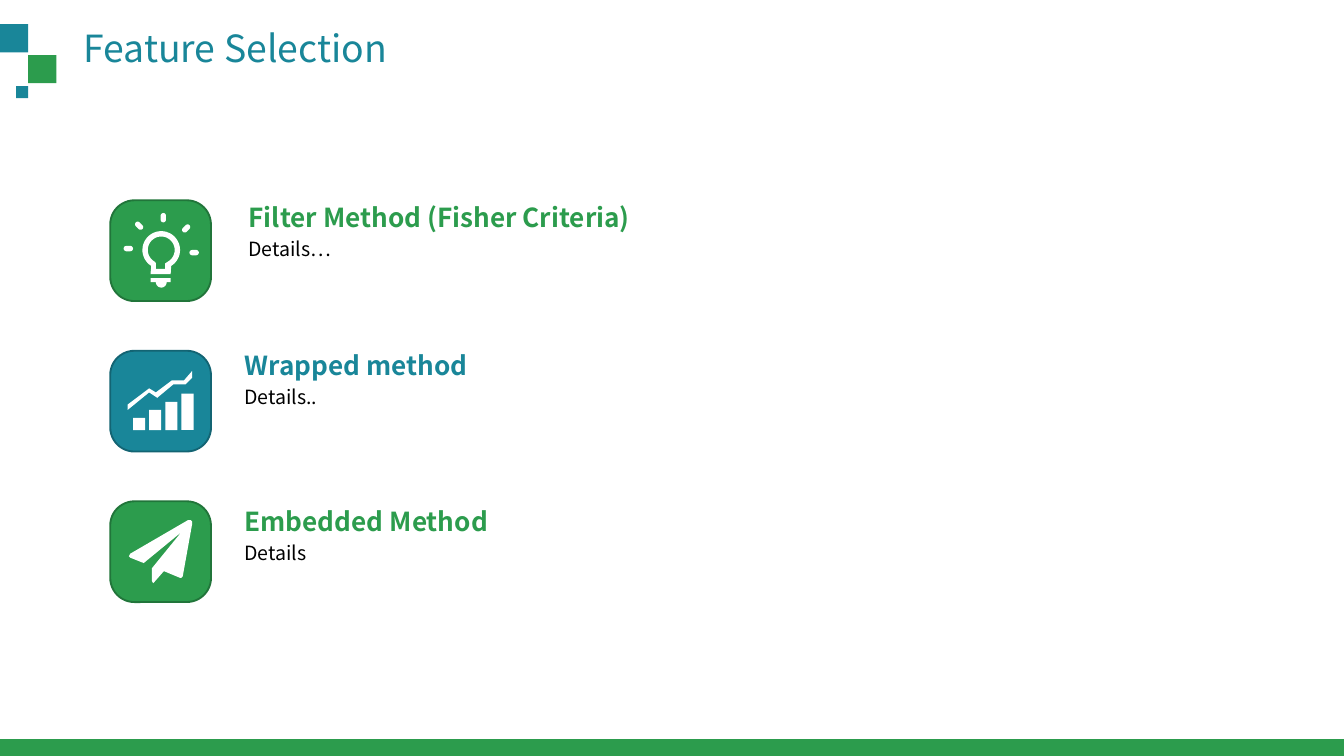
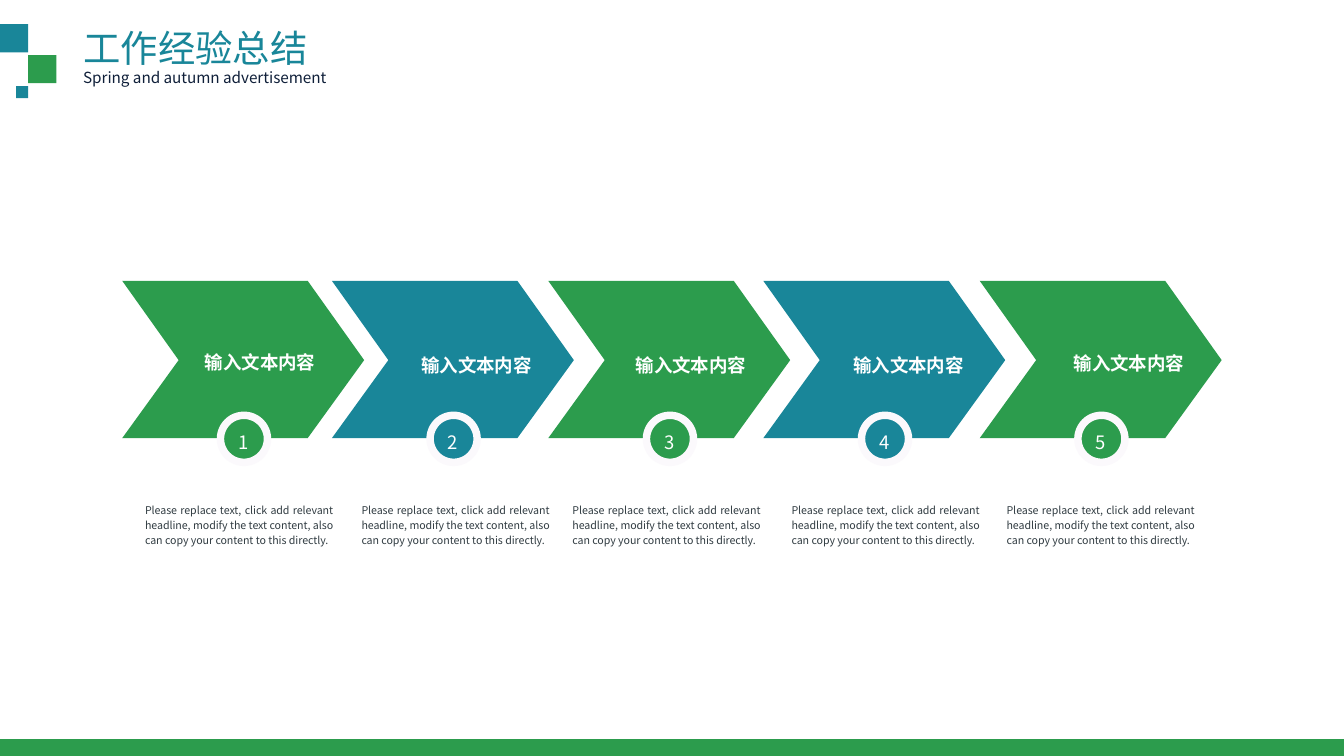
from dataclasses import dataclass
from math import cos, radians, sin

from pptx import Presentation
from pptx.dml.color import RGBColor
from pptx.enum.shapes import MSO_SHAPE as Preset
from pptx.enum.text import MSO_ANCHOR as Anchor, MSO_AUTO_SIZE as AutoSize, PP_ALIGN as Align
from pptx.oxml.ns import qn
from pptx.util import Inches, Pt


@dataclass(frozen=True)
class Theme:
    font: str = "Noto Sans CJK SC"
    green: str = "2C9C4D"
    teal: str = "198699"
    dark_green: str = "21753A"
    dark_teal: str = "136473"
    white: str = "FFFFFF"
    black: str = "000000"
    navy: str = "0F1F39"
    slate: str = "313C42"
    ring: str = "FBF9FC"
    title: float = 20
    subtitle: float = 8.2
    heading: float = 14
    detail: float = 10.5
    label: float = 9.9
    caption: float = 5.7


THEME = Theme()
EDGES = {THEME.green: THEME.dark_green, THEME.teal: THEME.dark_teal}
PAGE_WIDTH = Inches(10)
PAGE_HEIGHT = PAGE_WIDTH * 9 // 16
ICON_LEFT, ICON_SIZE = 0.82, 0.75

METHODS = [
    ("Filter Method (Fisher Criteria)", "Details…", THEME.green, 1.49, (1.85, 1.5, 4.33, 0.45)),
    ("Wrapped method", "Details..", THEME.teal, 2.61, (1.82, 2.6, 3.04, 0.45)),
    ("Embedded Method", "Details", THEME.green, 3.73, (1.82, 3.76, 2.3, 0.45)),
]

STEP_TEXT = "输入文本内容"
STEP_CAPTION = (
    "Please replace text, click add relevant headline, modify the text content, "
    "also can copy your content to this directly."
)
STEPS = [
    (0.91, (1.52, 2.58, 0.83, 0.2), 1.08),
    (2.47, (2.96, 2.61, 1.17, 0.18), 2.69),
    (4.08, (4.53, 2.61, 1.22, 0.18), 4.26),
    (5.68, (6.16, 2.61, 1.2, 0.18), 5.89),
    (7.29, (7.78, 2.61, 1.24, 0.15), 7.49),
]


def apply(target, values):
    for name, value in values.items():
        setattr(target, name, value)


def place(shape, bounds):
    apply(shape, dict(zip(("left", "top", "width", "height"), map(Inches, bounds))))


def paint(shape, fill, line=None, width=1):
    shape.shadow.inherit = False
    shape.fill.solid()
    shape.fill.fore_color.rgb = RGBColor.from_string(fill)
    if line:
        shape.line.color.rgb = RGBColor.from_string(line)
        shape.line.width = Pt(width)
    else:
        shape.line.fill.background()
    return shape


def add_preset(canvas, preset, bounds, fill, line=None, width=1):
    shape = canvas.add_shape(preset, *map(Inches, bounds))
    return paint(shape, fill, line, width)


def add_outline(canvas, fill, *contours):
    paths = [[(Inches(x), Inches(y)) for x, y in contour] for contour in contours]
    builder = canvas.build_freeform(*paths[0][0])
    builder.add_line_segments(paths[0][1:])
    for path in paths[1:]:
        builder.move_to(*path[0])
        builder.add_line_segments(path[1:])
    return paint(builder.convert_to_shape(), fill)


def write(para, text, size, color, bold=False, **paragraph):
    apply(para, paragraph)
    span = para.add_run()
    span.text = text
    apply(span.font, {"name": THEME.font, "size": Pt(size), "bold": bold})
    span.font.color.rgb = RGBColor.from_string(color)
    east_asian = span.font._element.makeelement(qn("a:ea"), {"typeface": THEME.font})
    span.font._element.find(qn("a:latin")).addnext(east_asian)


def format_frame(box, wrap=True, anchor=Anchor.TOP, inset=True):
    frame = box.text_frame
    apply(frame, {"word_wrap": wrap, "vertical_anchor": anchor, "auto_size": AutoSize.NONE})
    sides, ends = (0.1, 0.05) if inset else (0, 0)
    apply(frame, {
        "margin_left": Inches(sides), "margin_right": Inches(sides),
        "margin_top": Inches(ends), "margin_bottom": Inches(ends),
    })
    return frame


def add_text(canvas, bounds, text, size, color, bold=False, frame=None, **paragraph):
    box = canvas.add_textbox(*map(Inches, bounds))
    para = format_frame(box, **(frame or {})).paragraphs[0]
    write(para, text, size, color, bold, **paragraph)
    return box


def add_label(canvas, bounds, text, bold=False):
    add_text(canvas, bounds, text, THEME.label, THEME.white, bold,
             frame={"wrap": False, "anchor": Anchor.MIDDLE, "inset": False},
             alignment=Align.CENTER, line_spacing=1.2)


def add_page(deck, title, width):
    page = deck.slides.add_slide(deck.slide_layouts[5])
    box = page.shapes.title
    place(box, (0.52, 0.14, width, 0.44))
    para = format_frame(box, wrap=False).paragraphs[0]
    write(para, title, THEME.title, THEME.teal, alignment=Align.LEFT)
    squares = page.shapes.add_group_shape().shapes
    for left, top, side, fill in (
        (0, 0.18, 0.21, THEME.teal),
        (0.21, 0.41, 0.21, THEME.green),
        (0.12, 0.64, 0.09, THEME.teal),
    ):
        add_preset(squares, Preset.RECTANGLE, (left, top, side, side), fill)
    add_preset(page.shapes, Preset.RECTANGLE, (0, 5.5, 10, 0.13), THEME.green)
    return page


def arc(center, radius, start, end, steps=40):
    x, y = center
    angles = [radians(start + (end - start) * step / steps) for step in range(steps + 1)]
    return [(x + radius * cos(angle), y + radius * sin(angle)) for angle in angles]


def draw_bulb(canvas):
    center = (1.2, 1.86)
    for x, y, turn in ((0.95, 1.85, 0), (1.03, 1.68, 45), (1.21, 1.62, 90),
                       (1.38, 1.7, 135), (1.44, 1.88, 0)):
        ray = add_preset(canvas, Preset.ROUNDED_RECTANGLE,
                         (x - 0.03, y - 0.02, 0.07, 0.04), THEME.white)
        ray.adjustments[0] = 0.5
        ray.rotation = turn
    glass = arc(center, 0.14, 122, 418) + [(1.27, 2.04), (1.12, 2.04)]
    hollow = arc(center, 0.1, 117, 423) + [(1.23, 1.96), (1.23, 2), (1.16, 2), (1.16, 1.96)]
    add_outline(canvas, THEME.white, glass, hollow)
    base = [(1.12, 2.07), (1.27, 2.07), (1.27, 2.1), (1.23, 2.1)]
    add_outline(canvas, THEME.white, base + arc((1.2, 2.1), 0.04, 0, 180, 16) + [(1.12, 2.1)])


def draw_growth(canvas):
    for index in range(4):
        height = 0.09 + 0.06 * index
        add_preset(canvas, Preset.RECTANGLE,
                   (0.99 + 0.12 * index, 3.2 - height, 0.09, height), THEME.white)
    add_outline(canvas, THEME.white, [
        (1.37, 2.83), (1.28, 2.83), (1.16, 2.92), (1.11, 2.89), (0.95, 3.01), (0.95, 3.05),
        (1.11, 2.92), (1.17, 2.96), (1.29, 2.86), (1.38, 2.86), (1.43, 2.81), (1.43, 2.76),
    ])


def draw_plane(canvas):
    add_outline(canvas, THEME.white, [
        (1.43, 3.9), (1.36, 4.29), (1.35, 4.3), (1.34, 4.3), (1.22, 4.25), (1.15, 4.33),
        (1.14, 4.34), (1.13, 4.32), (1.13, 4.23), (1.35, 3.96), (1.07, 4.19), (0.97, 4.15),
        (0.96, 4.14), (0.97, 4.12), (1.4, 3.87), (1.42, 3.87), (1.43, 3.88),
    ])


def add_method(page, heading, detail, color, icon_top, bounds, draw_icon):
    icon = page.shapes.add_group_shape().shapes
    tile = add_preset(icon, Preset.ROUNDED_RECTANGLE,
                      (ICON_LEFT, icon_top, ICON_SIZE, ICON_SIZE), color, EDGES[color])
    tile.adjustments[0] = 0.24
    draw_icon(icon)
    box = add_text(page.shapes, bounds, heading, THEME.heading, color, True,
                   frame={"inset": False})
    write(box.text_frame.add_paragraph(), detail, THEME.detail, THEME.black,
          space_before=Pt(2))


def add_step(page, number, left, label_bounds, caption_left):
    color = THEME.green if number % 2 else THEME.teal
    chevron = page.shapes.add_group_shape().shapes
    top, middle, bottom = 2.09, 2.68, 3.26
    add_outline(chevron, color, [
        (left, top), (left + 0.42, middle), (left, bottom),
        (left + 1.38, bottom), (left + 1.8, middle), (left + 1.38, top),
    ])
    add_label(chevron, label_bounds, STEP_TEXT, True)
    badge = page.shapes.add_group_shape().shapes
    add_preset(badge, Preset.OVAL, (left + 0.73, 3.09, 0.35, 0.35), color, THEME.ring, 4)
    add_label(badge, (left + 0.85, 3.17, 0.1, 0.2), str(number))
    add_text(page.shapes, (caption_left, 3.73, 1.4, 0.34), STEP_CAPTION,
             THEME.caption, THEME.slate, frame={"inset": False},
             alignment=Align.JUSTIFY, line_spacing=1.2)


def build_selection(deck):
    page = add_page(deck, "Feature Selection", 2.52)
    for method, draw_icon in zip(METHODS, (draw_bulb, draw_growth, draw_plane)):
        add_method(page, *method, draw_icon)


def build_experience(deck):
    page = add_page(deck, "工作经验总结", 1.87)
    add_text(page.shapes, (0.52, 0.42, 2.35, 0.28), "Spring and autumn advertisement",
             THEME.subtitle, THEME.navy, line_spacing=1.3)
    for number, step in enumerate(STEPS, 1):
        add_step(page, number, *step)


def main():
    deck = Presentation()
    apply(deck, {"slide_width": PAGE_WIDTH, "slide_height": PAGE_HEIGHT})
    build_selection(deck)
    build_experience(deck)
    deck.save("out.pptx")


if __name__ == "__main__":
    main()
